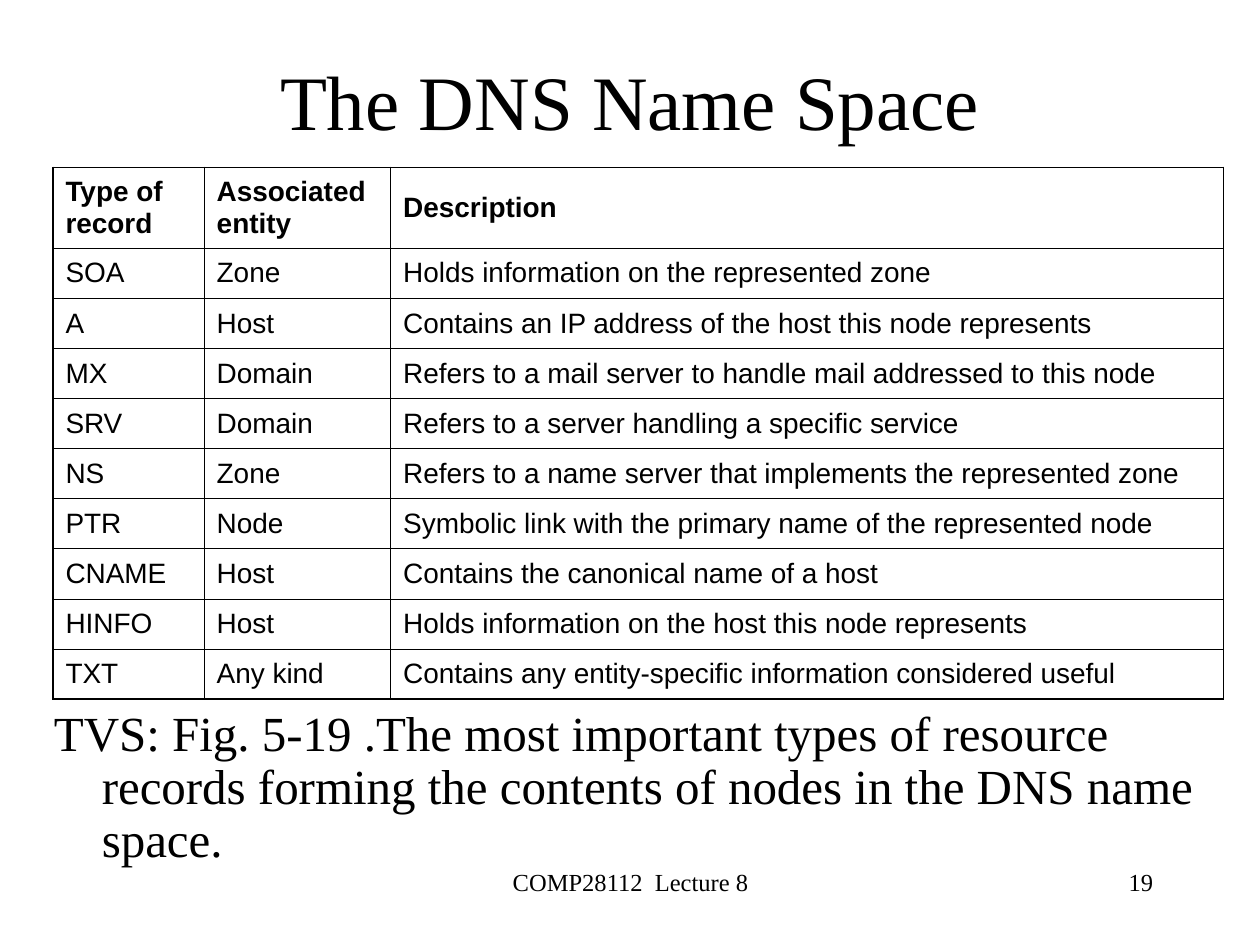
from dataclasses import dataclass

from lxml import etree
from pptx import Presentation
from pptx.dml.color import RGBColor
from pptx.enum.text import MSO_ANCHOR, PP_ALIGN
from pptx.oxml.ns import qn
from pptx.util import Inches, Pt

LEFT, MID, RIGHT = PP_ALIGN.LEFT, PP_ALIGN.CENTER, PP_ALIGN.RIGHT
TOP, CENTER = MSO_ANCHOR.TOP, MSO_ANCHOR.MIDDLE


@dataclass(frozen=True)
class Theme:
    ink: str = "000000"
    serif: str = "Times New Roman"
    sans: str = "Arial"
    title: int = 44
    body: int = 28
    cell: int = 16
    foot: int = 14
    thin: float = 0.45
    thick: float = 1.08


theme = Theme()


def put_text(text, box, size, align, anchor=TOP):
    frame = slide.shapes.add_textbox(*map(Inches, box)).text_frame
    frame.word_wrap = True
    frame.vertical_anchor = anchor
    para = frame.paragraphs[0]
    para.text = text
    para.alignment = align
    para.font.name, para.font.size = theme.serif, Pt(size)
    para.font.color.rgb = RGBColor.from_string(theme.ink)
    return para


def add_edge(cell, side, width):
    line = etree.SubElement(cell._tc.get_or_add_tcPr(), qn(f"a:ln{side}"), w=str(Pt(width)))
    fill = etree.SubElement(line, qn("a:solidFill"))
    etree.SubElement(fill, qn("a:srgbClr"), val=theme.ink)


prs = Presentation()
prs.slide_width, prs.slide_height = Inches(10), Inches(7.5)
slide = prs.slides.add_slide(prs.slide_layouts[6])

# Title
put_text("The DNS Name Space", (0.75, 0.33, 8.5, 0.92), theme.title, MID, CENTER)

# Caption with hanging indent
note = put_text(
    "TVS: Fig. 5-19 .The most important types of resource records "
    "forming the contents of nodes in the DNS name space.",
    (0.33, 5.58, 9.67, 1.42), theme.body, LEFT)
note.line_spacing = 0.9
props = note._p.get_or_add_pPr()
props.set("marL", str(Inches(0.38)))
props.set("indent", str(Inches(-0.38)))

# Record table
rows = [
    ("Type of record", "Associated entity", "Description"),
    ("SOA", "Zone", "Holds information on the represented zone"),
    ("A", "Host", "Contains an IP address of the host this node represents"),
    ("MX", "Domain", "Refers to a mail server to handle mail addressed to this node"),
    ("SRV", "Domain", "Refers to a server handling a specific service"),
    ("NS", "Zone", "Refers to a name server that implements the represented zone"),
    ("PTR", "Node", "Symbolic link with the primary name of the represented node"),
    ("CNAME", "Host", "Contains the canonical name of a host"),
    ("HINFO", "Host", "Holds information on the host this node represents"),
    ("TXT", "Any kind", "Contains any entity-specific information considered useful"),
]
widths = (1.2, 1.48, 6.61)
high, head = 4.22, 0.64
last_row, last_col = len(rows) - 1, len(widths) - 1
table = slide.shapes.add_table(
    len(rows), len(widths), Inches(0.42), Inches(1.33),
    Inches(sum(widths)), Inches(high)).table
table.first_row = table.horz_banding = False
for col, width in zip(table.columns, widths):
    col.width = Inches(width)

for r, row in enumerate(rows):
    table.rows[r].height = Inches(head if r == 0 else (high - head) / last_row)
    for c, text in enumerate(row):
        cell = table.cell(r, c)
        cell.vertical_anchor = CENTER
        para = cell.text_frame.paragraphs[0]
        para.text = text
        para.font.name, para.font.size = theme.sans, Pt(theme.cell)
        para.font.bold = r == 0
        para.font.color.rgb = RGBColor.from_string(theme.ink)
        # Thick lines around the table, thin lines inside
        outer = {"L": c == 0, "R": c == last_col, "T": r == 0, "B": r == last_row}
        for side, edge in outer.items():
            add_edge(cell, side, theme.thick if edge else theme.thin)
        cell.fill.background()

# Footer and page number
put_text("COMP28112  Lecture 8", (3.42, 6.83, 3.17, 0.5), theme.foot, MID)
put_text("19", (7.17, 6.83, 2.08, 0.5), theme.foot, RIGHT)

prs.save("out.pptx")
